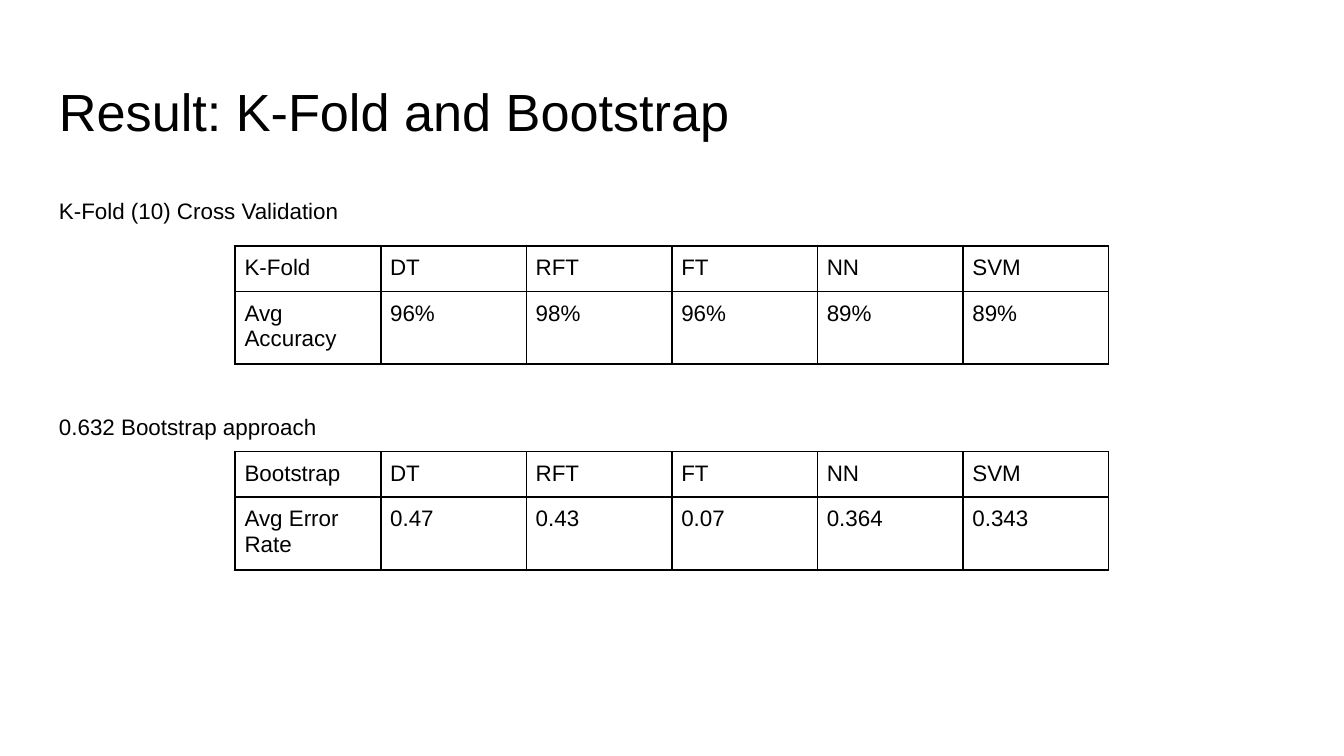
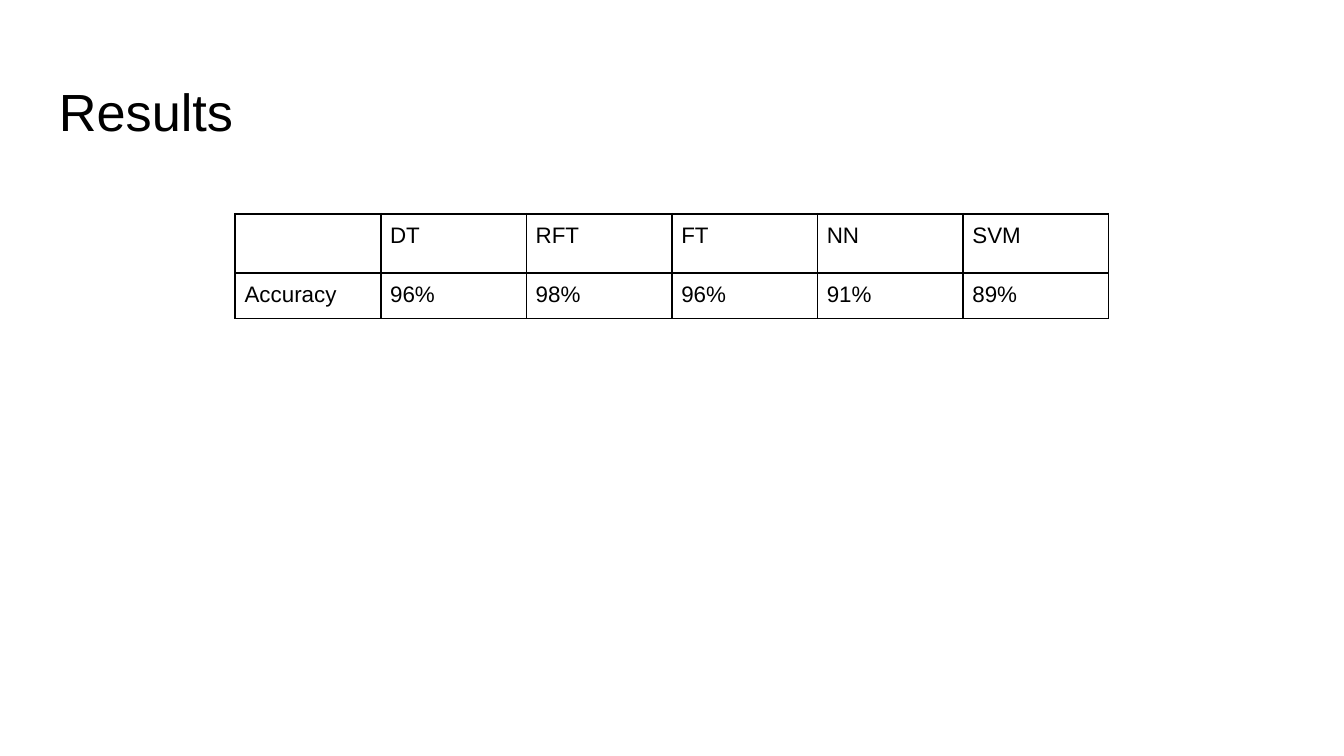
from dataclasses import dataclass

from lxml.etree import SubElement
from pptx import Presentation
from pptx.dml.color import RGBColor
from pptx.oxml.ns import qn
from pptx.slide import Slide
from pptx.table import _Cell
from pptx.text.text import TextFrame, _Paragraph
from pptx.util import Inches, Pt

COLORS = {"text": "000000", "border": "000000", "background": "FFFFFF"}
FONT = "Arial"
TITLE_SIZE = 28
BODY_SIZE = 12
SLIDE_WIDTH = 10
MARGIN_LEFT = 0.34
BOX_INSET = 0.1
CELL_INSET = 0.07
TABLE_LEFT = 1.75
TABLE_WIDTH = 6.5
FRAME_SIZE = 3.28
MIN_ROW_HEIGHT = 0.01  # rows grow to fit their text
MODELS = ["DT", "RFT", "FT", "NN", "SVM"]


@dataclass
class ScoreTable:
    """One measure for every model, with a header row above it."""
    corner: str
    measure: str
    scores: list[str]
    top: float


@dataclass
class ResultPage:
    """A title, optional captions and the score tables of one slide."""
    title: str
    captions: list[str]
    tables: list[ScoreTable]


PAGES = [
    ResultPage(
        "Result: K-Fold and Bootstrap",
        ["K-Fold (10) Cross Validation", "0.632 Bootstrap approach"],
        [
            ScoreTable("K-Fold", "Avg Accuracy", ["96%", "98%", "96%", "89%", "89%"], 1.83),
            ScoreTable("Bootstrap", "Avg Error Rate",
                       ["0.47", "0.43", "0.07", "0.364", "0.343"], 3.36),
        ],
    ),
    ResultPage(
        "Results",
        [],
        [ScoreTable("", "Accuracy", ["96%", "98%", "96%", "91%", "89%"], 1.59)],
    ),
]


def add_span(para: _Paragraph, text: str, size: float) -> None:
    """Add one run in the deck's font and text colour."""
    span = para.add_run()
    span.text = text
    span.font.name = FONT
    span.font.size = Pt(size)
    span.font.color.rgb = RGBColor.from_string(COLORS["text"])


def add_box(page: Slide, top: float, width: float, height: float) -> TextFrame:
    """Add a wrapping text box on the left margin and return its frame."""
    box = page.shapes.add_textbox(Inches(MARGIN_LEFT), Inches(top), Inches(width), Inches(height))
    frame = box.text_frame
    frame.word_wrap = True
    frame.margin_left = frame.margin_right = Inches(BOX_INSET)
    frame.margin_top = frame.margin_bottom = Inches(BOX_INSET)
    return frame


def add_title(page: Slide, text: str) -> None:
    """Add the slide title."""
    add_span(add_box(page, 0.49, 9.32, 0.63).paragraphs[0], text, TITLE_SIZE)


def add_captions(page: Slide, captions: list[str]) -> None:
    """Add the table captions, spaced to leave room for the tables."""
    frame = add_box(page, 1.34, 6.72, 2.15)
    for index, caption in enumerate(captions):
        para = frame.add_paragraph() if index else frame.paragraphs[0]
        para.line_spacing = 1.15
        para.space_before = Pt(99 if index else 0)
        add_span(para, caption, BODY_SIZE)


def outline_cell(cell: _Cell) -> None:
    """Draw a thin border on all four sides of a cell."""
    properties = cell._tc.get_or_add_tcPr()
    for position, side in enumerate(("a:lnL", "a:lnR", "a:lnT", "a:lnB")):
        line = properties.makeelement(qn(side), {"w": str(Pt(1))})
        properties.insert(position, line)
        fill = SubElement(line, qn("a:solidFill"))
        SubElement(fill, qn("a:srgbClr"), val=COLORS["border"])


def add_score_table(page: Slide, scores: ScoreTable) -> None:
    """Add a bordered table of models and their scores."""
    rows = [[scores.corner, *MODELS], [scores.measure, *scores.scores]]
    columns = len(rows[0])
    holder = page.shapes.add_table(
        len(rows), columns, Inches(TABLE_LEFT), Inches(scores.top),
        Inches(TABLE_WIDTH), Inches(MIN_ROW_HEIGHT * len(rows)))
    table = holder.table
    table.first_row = table.horz_banding = False
    for column in table.columns:
        column.width = Inches(TABLE_WIDTH / columns)
    for row_index, texts in enumerate(rows):
        table.rows[row_index].height = Inches(MIN_ROW_HEIGHT)
        for column_index, text in enumerate(texts):
            cell = table.cell(row_index, column_index)
            cell.margin_left = cell.margin_right = Inches(CELL_INSET)
            cell.margin_top = cell.margin_bottom = Inches(CELL_INSET)
            cell.fill.background()
            outline_cell(cell)
            if text:
                add_span(cell.text_frame.paragraphs[0], text, BODY_SIZE)
    holder.width = holder.height = Inches(FRAME_SIZE)


def main() -> None:
    """Build and save the deck."""
    deck = Presentation()
    deck.slide_width = Inches(SLIDE_WIDTH)
    deck.slide_height = Inches(SLIDE_WIDTH * 9 / 16)
    for content in PAGES:
        page = deck.slides.add_slide(deck.slide_layouts[6])
        page.background.fill.solid()
        page.background.fill.fore_color.rgb = RGBColor.from_string(COLORS["background"])
        add_title(page, content.title)
        if content.captions:
            add_captions(page, content.captions)
        for scores in content.tables:
            add_score_table(page, scores)
    deck.save("out.pptx")


main()
